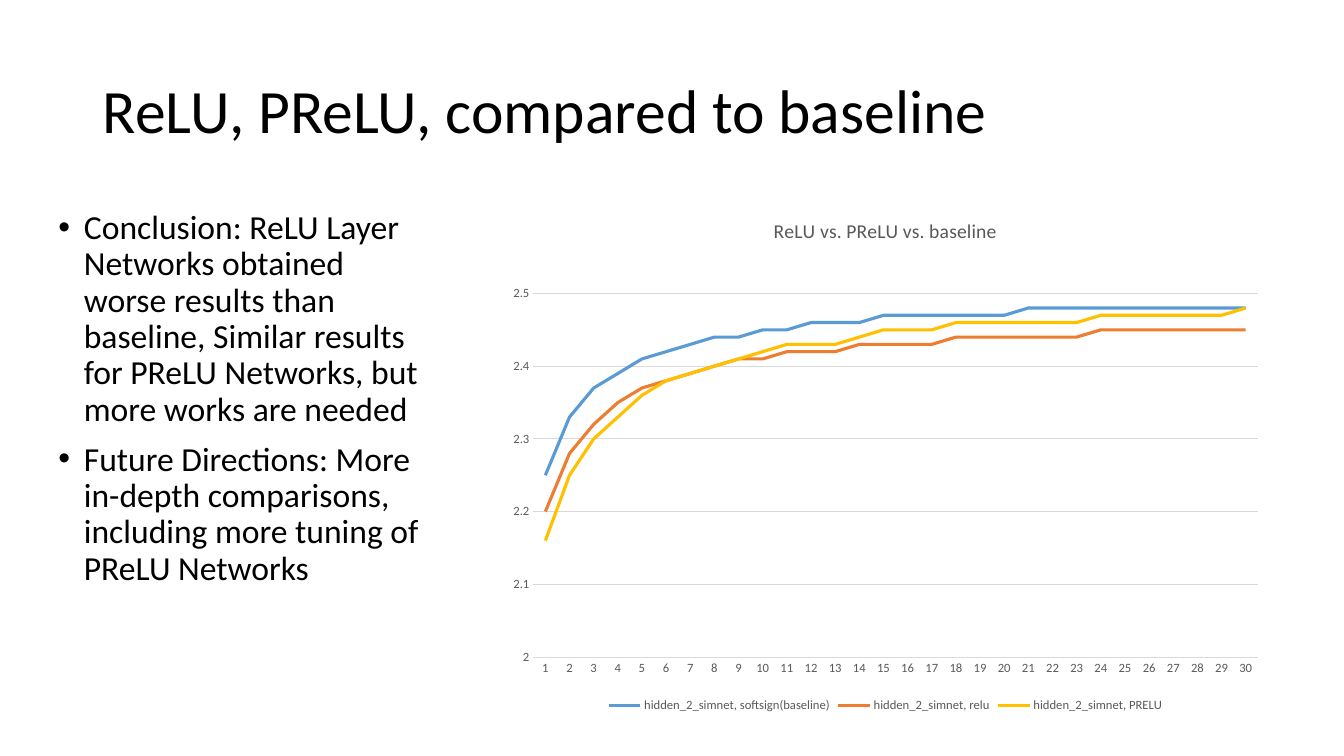
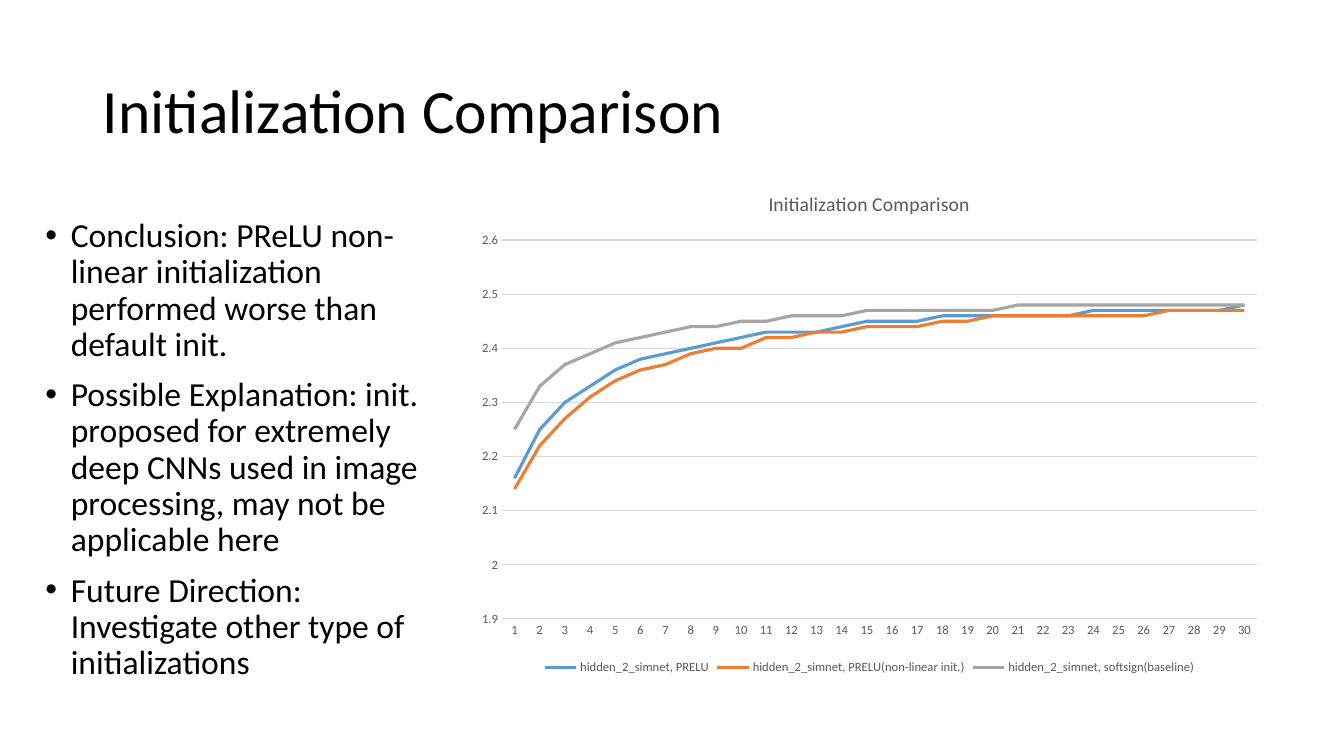
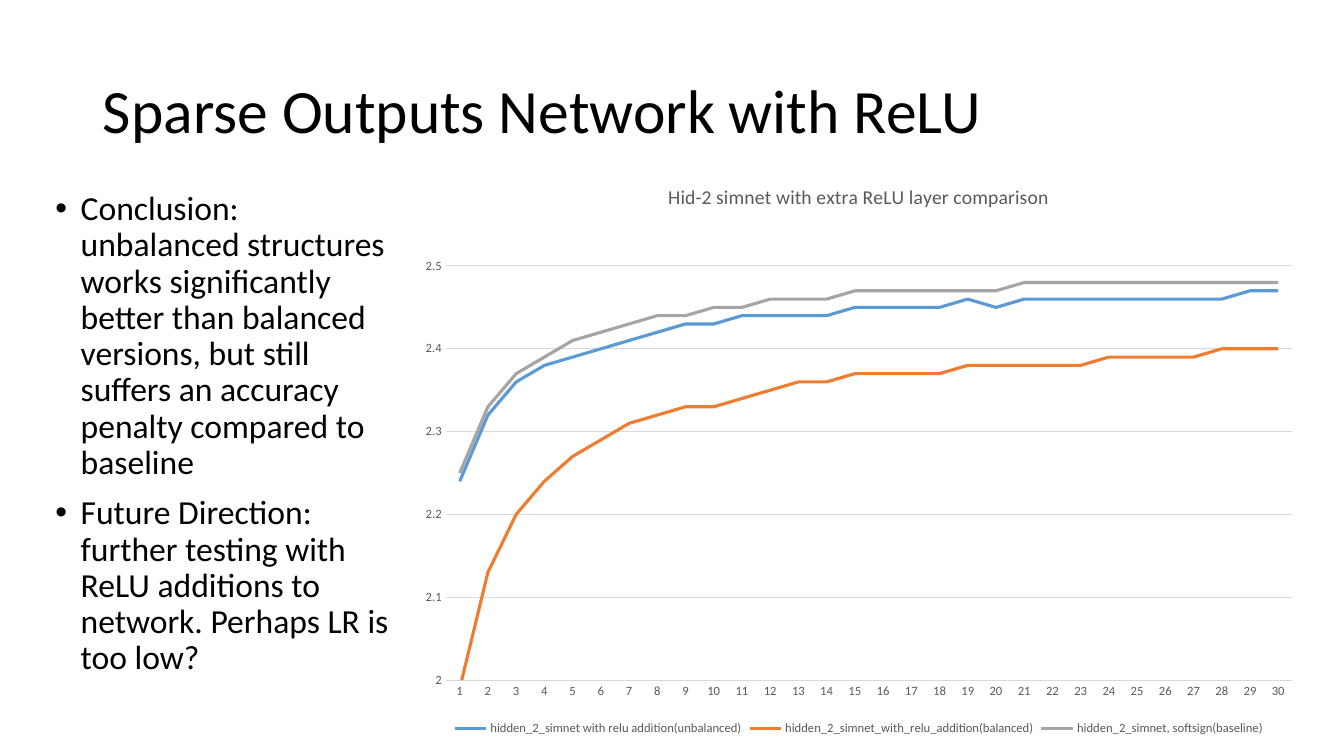
from dataclasses import dataclass

from lxml import etree
from pptx import Presentation
from pptx import util as u
from pptx.chart import data as chart_data
from pptx.dml.color import RGBColor
from pptx.enum import chart as ch, text
from pptx.oxml import ns


# Shared look
@dataclass(frozen=True)
class Theme:
    font: str = "Calibri"
    ink: str = "000000"
    muted: str = "595959"
    grid: str = "D9D9D9"
    blue: str = "5B9BD5"
    orange: str = "ED7D31"
    gold: str = "FFC000"
    gray: str = "A5A5A5"
    title_size: float = 44
    body_size: float = 24
    chart_title_size: float = 14
    chart_size: float = 9
    curve_width: float = 2.25
    grid_width: float = 0.75


THEME = Theme()
SLIDE_SIZE = (33.87, 19.05)
TITLE_BOX = (2.34, 1.02, 29.21, 3.68)
BODY_HEIGHT = 12.09
BULLET_INDENT = 0.64
PLOT_LEFT, PLOT_RIGHT, PLOT_BOTTOM = 0.92, 0.4, 1.5
EPOCHS = range(1, 31)

# Accuracy curves that appear on more than one slide
BASELINE = ("hidden_2_simnet, softsign(baseline)", [
    2.25, 2.33, 2.37, 2.39, 2.41, 2.42, 2.43, 2.44, 2.44, 2.45,
    2.45, 2.46, 2.46, 2.46, 2.47, 2.47, 2.47, 2.47, 2.47, 2.47,
    2.48, 2.48, 2.48, 2.48, 2.48, 2.48, 2.48, 2.48, 2.48, 2.48])
PRELU = ("hidden_2_simnet, PRELU", [
    2.16, 2.25, 2.3, 2.33, 2.36, 2.38, 2.39, 2.4, 2.41, 2.42,
    2.43, 2.43, 2.43, 2.44, 2.45, 2.45, 2.45, 2.46, 2.46, 2.46,
    2.46, 2.46, 2.46, 2.47, 2.47, 2.47, 2.47, 2.47, 2.47, 2.48])

# Curves of a single slide
RELU = ("hidden_2_simnet, relu", [
    2.2, 2.28, 2.32, 2.35, 2.37, 2.38, 2.39, 2.4, 2.41, 2.41,
    2.42, 2.42, 2.42, 2.43, 2.43, 2.43, 2.43, 2.44, 2.44, 2.44,
    2.44, 2.44, 2.44, 2.45, 2.45, 2.45, 2.45, 2.45, 2.45, 2.45])
PRELU_NON_LINEAR = ("hidden_2_simnet, PRELU(non-linear init.)", [
    2.14, 2.22, 2.27, 2.31, 2.34, 2.36, 2.37, 2.39, 2.4, 2.4,
    2.42, 2.42, 2.43, 2.43, 2.44, 2.44, 2.44, 2.45, 2.45, 2.46,
    2.46, 2.46, 2.46, 2.46, 2.46, 2.46, 2.47, 2.47, 2.47, 2.47])
UNBALANCED = ("hidden_2_simnet with relu addition(unbalanced)", [
    2.24, 2.32, 2.36, 2.38, 2.39, 2.4, 2.41, 2.42, 2.43, 2.43,
    2.44, 2.44, 2.44, 2.44, 2.45, 2.45, 2.45, 2.45, 2.46, 2.45,
    2.46, 2.46, 2.46, 2.46, 2.46, 2.46, 2.46, 2.46, 2.47, 2.47])
BALANCED = ("hidden_2_simnet_with_relu_addition(balanced)", [
    1.99, 2.13, 2.2, 2.24, 2.27, 2.29, 2.31, 2.32, 2.33, 2.33,
    2.34, 2.35, 2.36, 2.36, 2.37, 2.37, 2.37, 2.37, 2.38, 2.38,
    2.38, 2.38, 2.38, 2.39, 2.39, 2.39, 2.39, 2.4, 2.4, 2.4])

# Slide contents
SLIDES = [
    dict(
        title="ReLU, PReLU, compared to baseline",
        bullets=[
            "Conclusion: ReLU Layer Networks obtained worse results than baseline, "
            "Similar results for PReLU Networks, but more works are needed",
            "Future Directions: More in-depth comparisons, including more tuning "
            "of PReLU Networks",
        ],
        body_at=(1.22, 5.18, 9.75),
        chart_title="ReLU vs. PReLU vs. baseline",
        chart_at=(12.52, 4.98, 19.58, 13.08),
        plot_top=1.5,
        limits=(2, 2.55),
        curves=[(BASELINE, THEME.blue), (RELU, THEME.orange), (PRELU, THEME.gold)],
    ),
    dict(
        title="Initialization Comparison",
        bullets=[
            "Conclusion: PReLU non-linear initialization performed worse than "
            "default init.",
            "Possible Explanation: init. proposed for extremely deep CNNs used in "
            "image processing, may not be applicable here",
            "Future Direction: Investigate other type of initializations",
        ],
        body_at=(0.89, 5.38, 10.85),
        chart_title="Initialization Comparison",
        chart_at=(11.73, 4.32, 20.35, 12.78),
        plot_top=1.73,
        limits=(1.9, 2.6),
        curves=[(PRELU, THEME.blue), (PRELU_NON_LINEAR, THEME.orange),
                (BASELINE, THEME.gray)],
    ),
    dict(
        title="Sparse Outputs Network with ReLU",
        bullets=[
            "Conclusion: unbalanced structures works significantly better than "
            "balanced versions, but still suffers an accuracy penalty compared to "
            "baseline",
            "Future Direction: further testing with ReLU additions to network. "
            "Perhaps LR is too low?",
        ],
        body_at=(1.14, 4.7, 9.22),
        chart_title="Hid-2 simnet with extra ReLU layer comparison",
        chart_at=(10.31, 4.11, 22.66, 14.53),
        plot_top=1.55,
        limits=(2, 2.55),
        curves=[(UNBALANCED, THEME.blue), (BALANCED, THEME.orange),
                (BASELINE, THEME.gray)],
    ),
]


# Formatting helpers
def style_font(font, size, color):
    font.name = THEME.font
    font.size = u.Pt(size)
    font.bold = False
    font.color.rgb = RGBColor.from_string(color)


def style_line(line, color, width):
    line.color.rgb = RGBColor.from_string(color)
    line.width = u.Pt(width)


def place(shape, left, top, width, height):
    shape.left, shape.top = u.Cm(left), u.Cm(top)
    shape.width, shape.height = u.Cm(width), u.Cm(height)


def write_paragraph(paragraph, wording, size):
    paragraph.alignment = text.PP_ALIGN.LEFT
    paragraph.line_spacing = 0.9
    run = paragraph.add_run()
    run.text = wording
    style_font(run.font, size, THEME.ink)


def add_bullet_mark(paragraph):
    props = paragraph._p.get_or_add_pPr()
    props.set("marL", str(u.Cm(BULLET_INDENT)))
    props.set("indent", str(-u.Cm(BULLET_INDENT)))
    etree.SubElement(props, ns.qn("a:buFont"), typeface="Arial")
    etree.SubElement(props, ns.qn("a:buChar"), char="•")


# Slide elements
def fill_title(slide, wording):
    title = slide.shapes.title
    place(title, *TITLE_BOX)
    frame = title.text_frame
    frame.auto_size = text.MSO_AUTO_SIZE.NONE
    frame.vertical_anchor = text.MSO_ANCHOR.MIDDLE
    write_paragraph(frame.paragraphs[0], wording, THEME.title_size)


def fill_bullets(slide, bullets, left, top, width):
    body = slide.placeholders[1]
    place(body, left, top, width, BODY_HEIGHT)
    frame = body.text_frame
    frame.auto_size = text.MSO_AUTO_SIZE.NONE
    for i, wording in enumerate(bullets):
        paragraph = frame.add_paragraph() if i else frame.paragraphs[0]
        write_paragraph(paragraph, wording, THEME.body_size)
        paragraph.space_before = u.Pt(10)
        add_bullet_mark(paragraph)


def set_plot_area(chart, width, height, plot_top):
    """Fix the inner plot rectangle by its distances from the chart edges."""
    plot_area = chart._chartSpace.chart.plotArea
    for old in plot_area.findall(ns.qn("c:layout")):
        plot_area.remove(old)
    layout = etree.Element(ns.qn("c:layout"))
    manual = etree.SubElement(layout, ns.qn("c:manualLayout"))
    settings = {
        "layoutTarget": "inner", "xMode": "edge", "yMode": "edge",
        "x": PLOT_LEFT / width,
        "y": plot_top / height,
        "w": (width - PLOT_LEFT - PLOT_RIGHT) / width,
        "h": (height - plot_top - PLOT_BOTTOM) / height,
    }
    for tag, value in settings.items():
        etree.SubElement(manual, ns.qn(f"c:{tag}"), val=str(value))
    plot_area.insert(0, layout)


def style_axes(chart, limits):
    epochs, accuracy = chart.category_axis, chart.value_axis
    for axis in (epochs, accuracy):
        axis.major_tick_mark = axis.minor_tick_mark = ch.XL_TICK_MARK.NONE
        style_font(axis.tick_labels.font, THEME.chart_size, THEME.muted)
    style_line(epochs.format.line, THEME.grid, THEME.grid_width)
    accuracy.format.line.fill.background()
    accuracy.minimum_scale, accuracy.maximum_scale = limits
    accuracy.major_unit = 0.1
    accuracy.has_major_gridlines = True
    style_line(accuracy.major_gridlines.format.line, THEME.grid, THEME.grid_width)


def add_accuracy_chart(slide, heading, box, plot_top, limits, curves):
    results = chart_data.CategoryChartData()
    results.categories = [str(epoch) for epoch in EPOCHS]
    for (name, values), _ in curves:
        results.add_series(name, values)
    chart = slide.shapes.add_chart(
        ch.XL_CHART_TYPE.LINE, *map(u.Cm, box), results).chart
    style_font(chart.font, 10, THEME.ink)

    chart.has_title = True
    run = chart.chart_title.text_frame.paragraphs[0].add_run()
    run.text = heading
    style_font(run.font, THEME.chart_title_size, THEME.muted)

    chart.has_legend = True
    chart.legend.position = ch.XL_LEGEND_POSITION.BOTTOM
    chart.legend.include_in_layout = False
    style_font(chart.legend.font, THEME.chart_size, THEME.muted)

    style_axes(chart, limits)
    plot = chart.plots[0]
    plot.vary_by_categories = False
    for curve, (_, color) in zip(plot.series, curves):
        curve.smooth = False
        style_line(curve.format.line, color, THEME.curve_width)
    set_plot_area(chart, *box[2:], plot_top)


def main():
    deck = Presentation()
    deck.slide_width, deck.slide_height = map(u.Cm, SLIDE_SIZE)
    for content in SLIDES:
        slide = deck.slides.add_slide(deck.slide_layouts[1])
        fill_title(slide, content["title"])
        fill_bullets(slide, content["bullets"], *content["body_at"])
        add_accuracy_chart(slide, content["chart_title"], content["chart_at"],
                           content["plot_top"], content["limits"],
                           content["curves"])
    deck.save("out.pptx")


if __name__ == "__main__":
    main()
